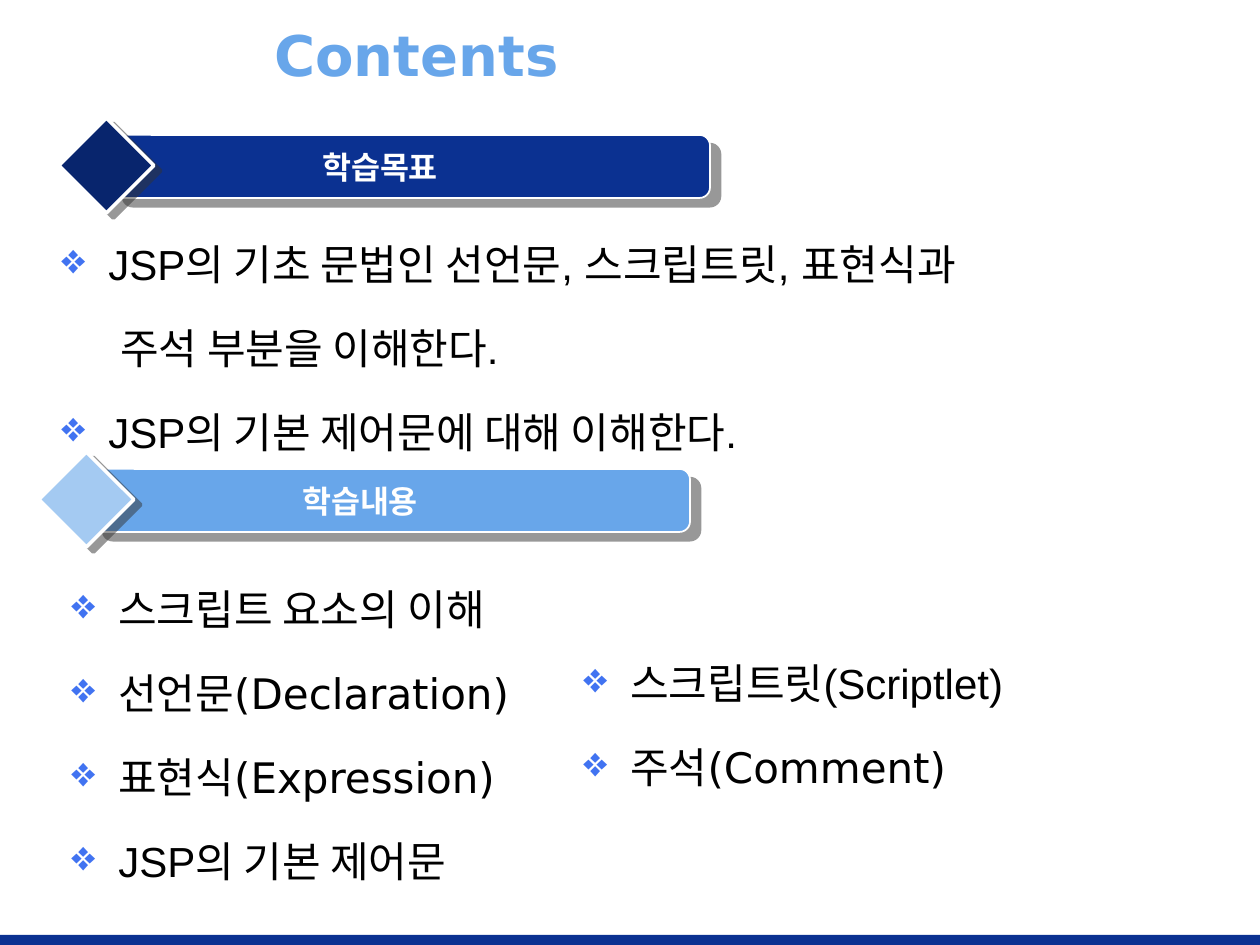
"""Build the contents slide: two banners with bulleted Korean outlines."""
from dataclasses import dataclass

from lxml.etree import SubElement
from pptx import Presentation
from pptx.dml.color import RGBColor
from pptx.enum.shapes import MSO_SHAPE as Shape
from pptx.enum.text import MSO_ANCHOR as Anchor, PP_ALIGN as Align
from pptx.oxml.ns import qn
from pptx.util import Pt

PX = 9144000 // 1260


@dataclass(frozen=True)
class Theme:
    navy: str = "0B3191"
    deep: str = "08256D"
    sky: str = "68A6EA"
    pale: str = "A4CAF2"
    bullet: str = "4173F1"
    shade: str = "333333"
    white: str = "FFFFFF"
    black: str = "000000"
    sans: str = "Arial"
    wide: str = "DejaVu Sans"
    title: int = 32
    heading: int = 18
    body: int = 24


T = Theme()
INDENT = 47
CONTINUED = 59

TITLE = ("Contents", (262, 15, 903, 78))
FOOTER = (0, 935, 1260, 10)
BANNERS = [
    ("학습목표", 59, 118, T.navy, T.deep),
    ("학습내용", 39, 452, T.sky, T.pale),
]
OUTLINES = [
    ((49, 207, 1123, 246), [
        ("JSP의 기초 문법인 선언문, 스크립트릿, 표현식과", T.sans, True),
        ("주석 부분을 이해한다.", T.sans, False),
        ("JSP의 기본 제어문에 대해 이해한다.", T.sans, True),
    ]),
    ((59, 552, 581, 365), [
        ("스크립트 요소의 이해", T.wide, True),
        ("선언문(Declaration)", T.wide, True),
        ("표현식(Expression)", T.wide, True),
        ("JSP의 기본 제어문", T.sans, True),
    ]),
    ((571, 626, 581, 174), [
        ("스크립트릿(Scriptlet)", T.sans, True),
        ("주석(Comment)", T.wide, True),
    ]),
]


def rgb(value):
    return RGBColor.from_string(value)


def scaled(box):
    return [length * PX for length in box]


def style(paragraph, face, size, color, bold=False):
    font = paragraph.font
    font.name, font.size, font.bold = face, Pt(size), bold
    font.color.rgb = rgb(color)


def add_block(shapes, kind, box, fill, outline=0):
    block = shapes.add_shape(kind, *scaled(box))
    block.shadow.inherit = False
    block.fill.solid()
    block.fill.fore_color.rgb = rgb(fill)
    if outline:
        block.line.color.rgb = rgb(T.white)
        block.line.width = Pt(outline)
    else:
        block.line.fill.background()
    return block


def cast_shadow(block, distance, angle):
    effects = block.element.spPr.find(qn("a:effectLst"))
    shadow = SubElement(effects, qn("a:outerShdw"), dist=str(Pt(distance)),
                        dir=str(angle * 60000), algn="ctr", rotWithShape="0")
    color = SubElement(shadow, qn("a:srgbClr"), val=T.shade)
    SubElement(color, qn("a:alpha"), val="50000")


def add_label(shapes, text, box):
    frame = shapes.add_textbox(*scaled(box)).text_frame
    frame.word_wrap = True
    frame.text = text
    return frame


def add_banner(slide, text, left, top, bar_color, gem_color):
    shapes = slide.shapes.add_group_shape().shapes
    bar = add_block(shapes, Shape.ROUNDED_RECTANGLE,
                    (left + 53, top + 17, 598, 63), bar_color, 1)
    cast_shadow(bar, 7.8, 40)
    gem = add_block(shapes, Shape.DIAMOND, (left, top, 95, 95), gem_color, 2)
    cast_shadow(gem, 5, 37)
    heading = add_label(shapes, text, (left + 85, top + 24, 472, 50)).paragraphs[0]
    heading.alignment = Align.CENTER
    style(heading, T.sans, T.heading, T.white, True)


def add_outline(slide, box, items):
    frame = add_label(slide.shapes, "\n".join(text for text, _, _ in items), box)
    for paragraph, (_, face, bulleted) in zip(frame.paragraphs, items):
        paragraph.line_spacing = 1.5
        paragraph.space_before = Pt(4.8)
        props = paragraph._p.get_or_add_pPr()
        props.set("marL", str((INDENT if bulleted else CONTINUED) * PX))
        props.set("indent", str(-INDENT * PX if bulleted else 0))
        if bulleted:
            SubElement(SubElement(props, qn("a:buClr")), qn("a:srgbClr"), val=T.bullet)
            SubElement(props, qn("a:buChar"), char="❖")
        else:
            SubElement(props, qn("a:buNone"))
        style(paragraph, face, T.body, T.black)


def main():
    deck = Presentation()
    deck.slide_width, deck.slide_height = scaled((1260, 945))
    slide = deck.slides.add_slide(deck.slide_layouts[6])
    add_block(slide.shapes, Shape.RECTANGLE, FOOTER, T.navy)
    title = add_label(slide.shapes, *TITLE)
    title.vertical_anchor = Anchor.MIDDLE
    style(title.paragraphs[0], T.wide, T.title, T.sky, True)
    for banner in BANNERS:
        add_banner(slide, *banner)
    for outline in OUTLINES:
        add_outline(slide, *outline)
    deck.save("out.pptx")


if __name__ == "__main__":
    main()
